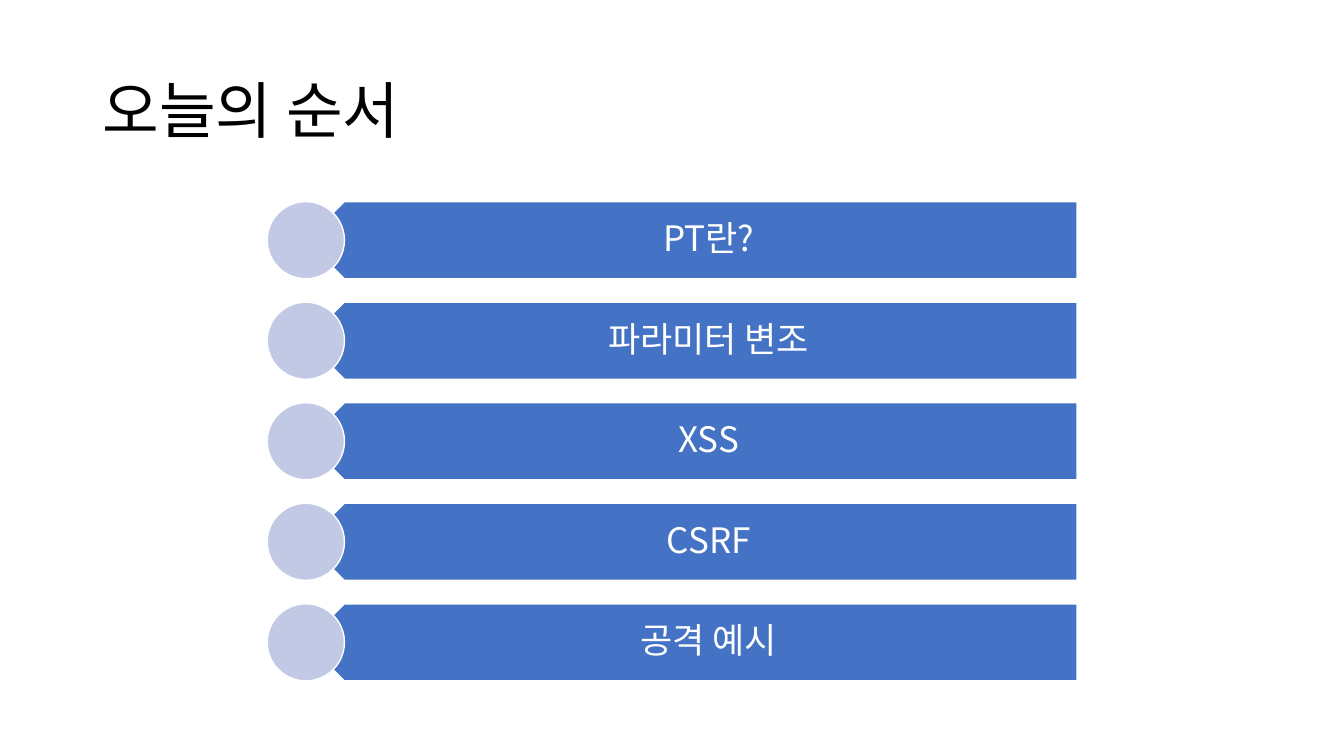
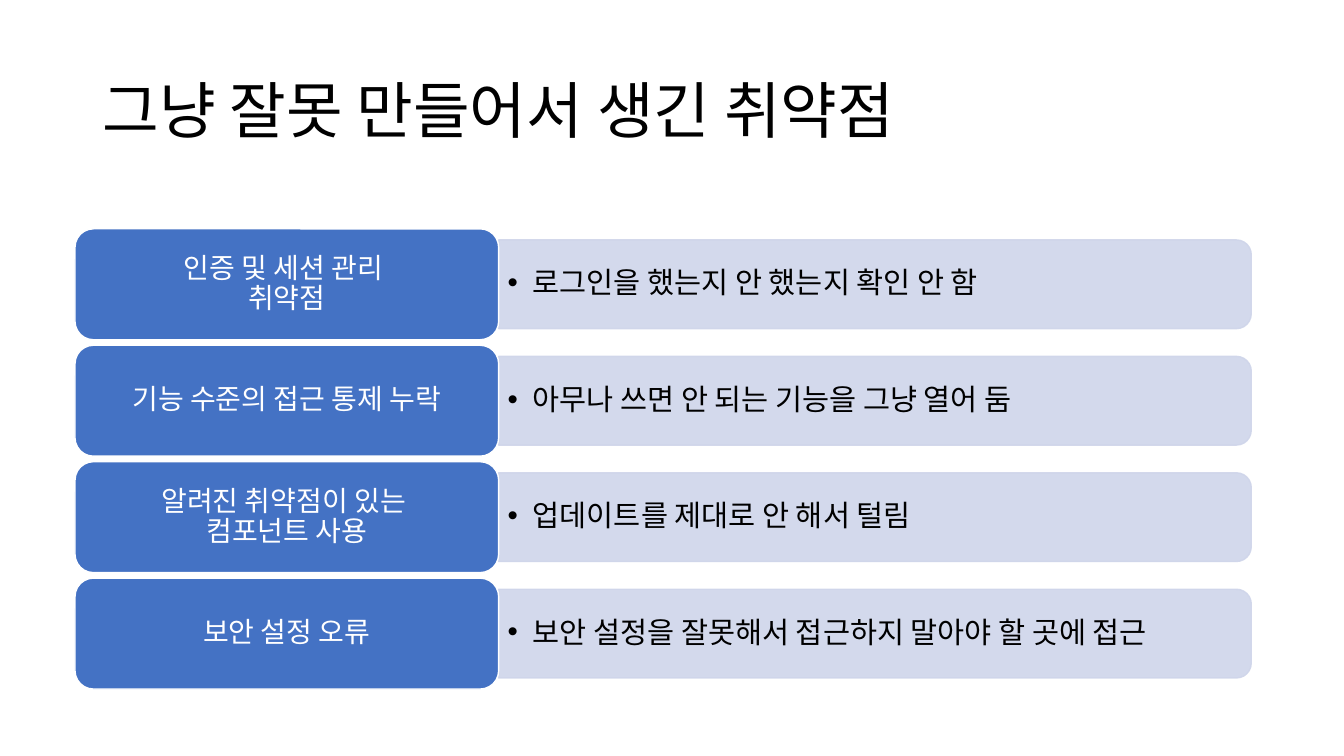
from lxml.etree import SubElement
from pptx import Presentation
from pptx.dml.color import RGBColor
from pptx.enum.shapes import MSO_SHAPE
from pptx.enum.text import MSO_ANCHOR, PP_ALIGN
from pptx.oxml.ns import qn
from pptx.util import Inches, Pt

WHITE = RGBColor(0xFF, 0xFF, 0xFF)
BLACK = RGBColor(0x00, 0x00, 0x00)
BLUE = RGBColor(0x44, 0x72, 0xC4)
LAVENDER = RGBColor(0xC1, 0xC9, 0xE4)
PALE_BLUE = RGBColor(0xCF, 0xD5, 0xEA)

AGENDA = ["PT란?", "파라미터 변조", "XSS", "CSRF", "공격 예시"]
WEAKNESSES = [
    ("인증 및 세션 관리 \n취약점", "로그인을 했는지 안 했는지 확인 안 함"),
    ("기능 수준의 접근 통제 누락", "아무나 쓰면 안 되는 기능을 그냥 열어 둠"),
    ("알려진 취약점이 있는 \n컴포넌트 사용", "업데이트를 제대로 안 해서 털림"),
    ("보안 설정 오류", "보안 설정을 잘못해서 접근하지 말아야 할 곳에 접근"),
]


class Deck:
    """Style and current slide; boxes are (left, top, width, height) in percent of the slide."""

    FONT = "Noto Sans CJK KR"
    TITLE_BOX = (6.88, 5.33, 86.25, 19.33)

    def __init__(self):
        self.presentation = Presentation()
        self.presentation.slide_width = Inches(13.333)
        self.presentation.slide_height = Inches(7.5)
        self.slide = None

    def new_slide(self, title):
        self.slide = self.presentation.slides.add_slide(self.presentation.slide_layouts[6])
        self.label(self.TITLE_BOX, title, 44, BLACK, align=PP_ALIGN.LEFT)

    def measure(self, box):
        """Turn percentages into lengths."""
        sizes = (self.presentation.slide_width, self.presentation.slide_height) * 2
        return [round(size * share / 100) for size, share in zip(sizes, box)]

    def shape(self, kind, box, fill, line=WHITE, rotation=0, opacity=100):
        """Add a shape that covers the box after its rotation."""
        left, top, width, height = self.measure(box)
        if rotation % 180:
            left += (width - height) // 2
            top += (height - width) // 2
            width, height = height, width
        shape = self.slide.shapes.add_shape(kind, left, top, width, height)
        shape.shadow.inherit = False
        shape.rotation = rotation
        shape.fill.solid()
        shape.fill.fore_color.rgb = fill
        shape.line.color.rgb = line
        shape.line.width = Pt(1)
        if opacity < 100:
            for color in list(shape._element.spPr.iter(qn("a:srgbClr"))):
                SubElement(color, qn("a:alpha")).set("val", str(opacity * 1000))
        return shape

    def label(self, box, text, size, color, **options):
        text_box = self.slide.shapes.add_textbox(*self.measure(box))
        self.add_text(text_box, text, size, color, **options)

    def add_text(self, shape, text, size, color, align=PP_ALIGN.CENTER,
                 insets=(0.1, 0.05, 0.1, 0.05), bullet=False):
        frame = shape.text_frame
        frame.word_wrap = True
        frame.vertical_anchor = MSO_ANCHOR.MIDDLE
        (frame.margin_left, frame.margin_top,
         frame.margin_right, frame.margin_bottom) = map(Inches, insets)
        paragraph = frame.paragraphs[0]
        paragraph.alignment = align
        paragraph.line_spacing = 0.9
        if bullet:
            self.add_bullet(paragraph)
        for number, line in enumerate(text.split("\n")):
            if number:
                paragraph.add_line_break()
            self.add_run(paragraph, line, size, color)

    def add_run(self, paragraph, text, size, color):
        run = paragraph.add_run()
        run.text = text
        run.font.size = Pt(size)
        run.font.color.rgb = color
        run.font.name = self.FONT
        SubElement(run._r.get_or_add_rPr(), qn("a:ea")).set("typeface", self.FONT)

    def add_bullet(self, paragraph):
        properties = paragraph._p.get_or_add_pPr()
        properties.set("marL", str(Inches(0.25)))
        properties.set("indent", str(-Inches(0.25)))
        SubElement(properties, qn("a:buFont")).set("typeface", "Arial")
        SubElement(properties, qn("a:buChar")).set("char", "•")

    def agenda_row(self, top, text):
        height = 10.2
        self.shape(MSO_SHAPE.PENTAGON, (22.75, top, 57.4, height), BLUE, rotation=180)
        self.label((24.2, top, 55.95, height), text, 25, WHITE, insets=(0.34, 0.1, 0.19, 0.1))
        self.shape(MSO_SHAPE.OVAL, (19.88, top, 5.75, height), LAVENDER)

    def weakness_row(self, top, name, detail):
        height, bar_height = 14.67, 11.73
        bar_top = top + (height - bar_height) / 2
        self.shape(MSO_SHAPE.ROUND_2_SAME_RECTANGLE, (37.1, bar_top, 56.0, bar_height),
                   PALE_BLUE, PALE_BLUE, rotation=90, opacity=90)
        self.label((37.1, bar_top, 55.75, bar_height), detail, 21, BLACK,
                   align=PP_ALIGN.LEFT, insets=(0.09, 0.04, 0.09, 0.04), bullet=True)
        card = self.shape(MSO_SHAPE.ROUNDED_RECTANGLE, (5.58, top, 31.52, height), BLUE)
        self.add_text(card, name, 20, WHITE, insets=(0.08, 0.04, 0.08, 0.04))


def main():
    deck = Deck()
    deck.new_slide("오늘의 순서")
    for row, text in enumerate(AGENDA):
        deck.agenda_row(26.67 + 13.3 * row, text)

    deck.new_slide("그냥 잘못 만들어서 생긴 취약점")
    for row, (name, detail) in enumerate(WEAKNESSES):
        deck.weakness_row(30.27 + 15.4 * row, name, detail)

    deck.presentation.save("out.pptx")


if __name__ == "__main__":
    main()
